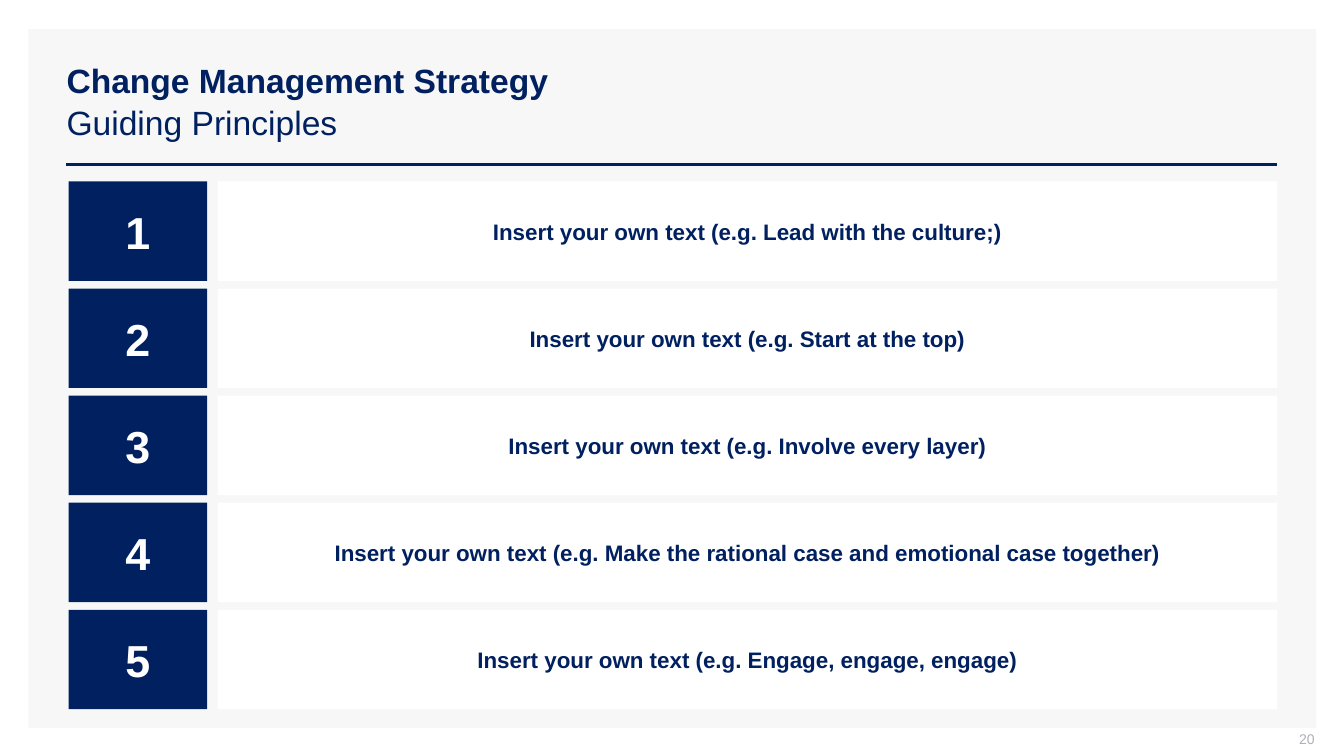
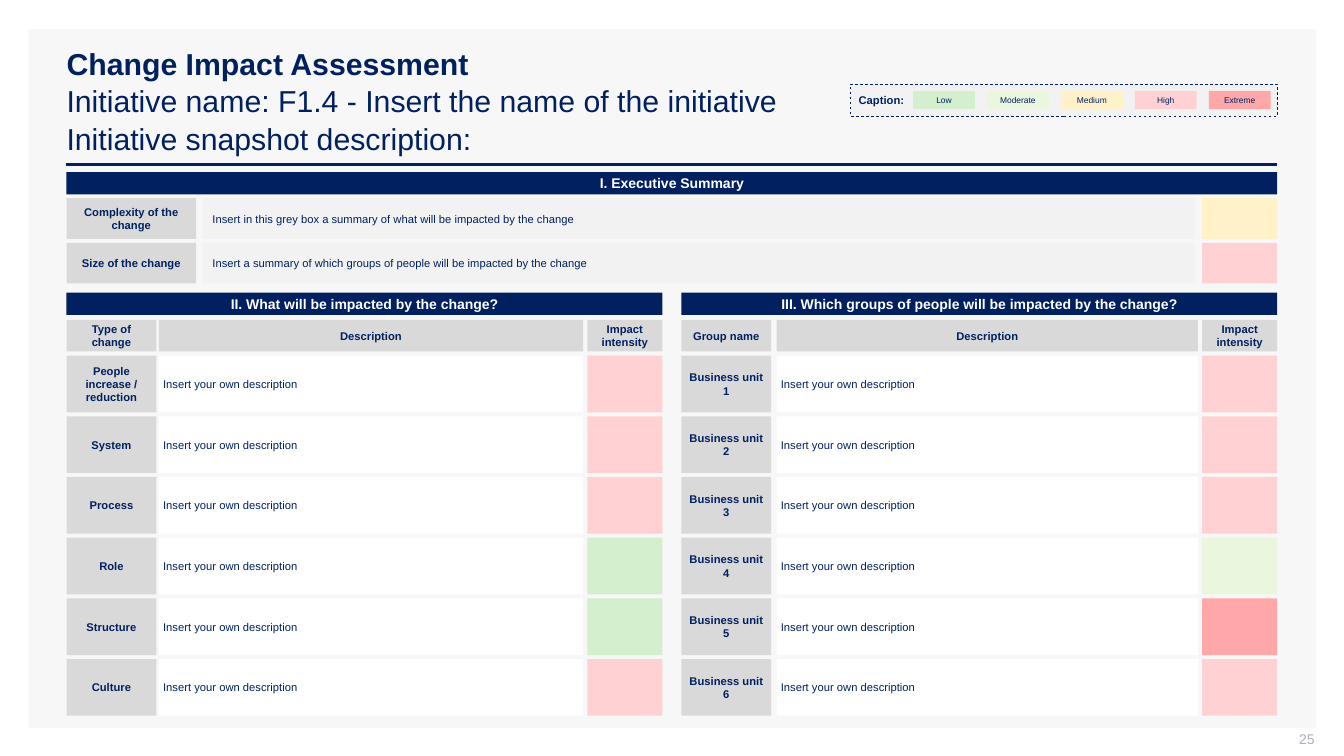
"""Build two change management slides: guiding principles and impact assessment."""
import lxml.etree
import pptx
import pptx.dml.color
import pptx.enum.dml
import pptx.enum.shapes
import pptx.enum.text
import pptx.oxml.ns
import pptx.util

Pt = pptx.util.Pt
ALIGN = pptx.enum.text.PP_ALIGN
MIDDLE = pptx.enum.text.MSO_ANCHOR.MIDDLE
SHAPE = pptx.enum.shapes.MSO_SHAPE
NAVY, WHITE, PANEL = "002060", "FFFFFF", "F7F7F7"
LABEL_GREY, BOX_GREY, NUMBER_GREY = "D9D9D9", "F2F2F2", "ADAFBB"
INTENSITIES = {"Low": "D3EFCE", "Moderate": "EBF6DE", "Medium": "FFF2C9",
               "High": "FFD1D2", "Extreme": "FFA7A9"}
LEFT, WIDTH = 47.5, 864.8
RIGHT = LEFT + WIDTH


def color(value):
    return pptx.dml.color.RGBColor.from_string(value)


def add_box(slide, left, top, width, height, fill, text="", size=8, ink=NAVY,
            bold=True, align=ALIGN.CENTER, margin=3, kind=SHAPE.RECTANGLE):
    shape = slide.shapes.add_shape(kind, Pt(left), Pt(top), Pt(width), Pt(height))
    shape.shadow.inherit = False
    shape.fill.solid()
    shape.fill.fore_color.rgb = color(fill)
    shape.line.fill.background()
    if text:
        frame = shape.text_frame
        frame.text = text
        frame.word_wrap = True
        frame.vertical_anchor = MIDDLE
        frame.margin_left = frame.margin_right = Pt(margin)
        frame.margin_top = frame.margin_bottom = 0
        paragraph = frame.paragraphs[0]
        paragraph.alignment = align
        for run in paragraph.runs:
            run.font.name = "Arial"
            run.font.size = Pt(size)
            run.font.bold = bold
            run.font.color.rgb = color(ink)
    return shape


presentation = pptx.Presentation()
presentation.slide_width = Pt(960)
presentation.slide_height = Pt(540)
layout = presentation.slide_layouts[5]

pages = [
    ("Change Management Strategy\vGuiding Principles", 24, "20"),
    ("Change Impact Assessment\vInitiative name: F1.4 - Insert the name of the initiative"
     "\vInitiative snapshot description:", 21.6, "25"),
]
slides = []
for heading, size, number in pages:
    slide = presentation.slides.add_slide(layout)
    slides.append(slide)
    title = slide.shapes.title
    title.left, title.top, title.width, title.height = Pt(40.3), Pt(28.8), Pt(872), Pt(85.7)
    frame = title.text_frame
    frame.text = heading
    frame.word_wrap = True
    frame.vertical_anchor = MIDDLE
    paragraph = frame.paragraphs[0]
    paragraph.alignment = ALIGN.LEFT
    paragraph.line_spacing = 1.03
    for index, run in enumerate(paragraph.runs):
        run.font.name = "Arial"
        run.font.size = Pt(size)
        run.font.bold = index == 0
        run.font.color.rgb = color(NAVY)

    number_box = slide.shapes.add_textbox(Pt(723), Pt(522), Pt(216), Pt(15))
    frame = number_box.text_frame
    frame.text = number
    frame.word_wrap = True
    frame.vertical_anchor = MIDDLE
    frame.margin_top = frame.margin_right = 0
    paragraph = frame.paragraphs[0]
    paragraph.alignment = ALIGN.RIGHT
    font = paragraph.runs[0].font
    font.name, font.size = "Arial", Pt(10)
    font.color.rgb = color(NUMBER_GREY)

principles_slide, impact_slide = slides

panel = add_box(principles_slide, 20.2, 20.9, 920, 499, PANEL)
rule = principles_slide.shapes.add_connector(
    pptx.enum.shapes.MSO_CONNECTOR.STRAIGHT, Pt(LEFT), Pt(117.4), Pt(RIGHT), Pt(117.4))
rule.line.color.rgb = color(NAVY)
rule.line.width = Pt(2)
lxml.etree.SubElement(rule.element.spPr, pptx.oxml.ns.qn("a:effectLst"))
layout_tree = layout.shapes.element
for position, backdrop in enumerate((panel, rule), start=2):
    layout_tree.insert(position, backdrop.element)

principles = ["Lead with the culture;", "Start at the top", "Involve every layer",
              "Make the rational case and emotional case together", "Engage, engage, engage"]
for index, principle in enumerate(principles):
    top = 129.6 + index * 76.5
    add_box(principles_slide, 49, top, 99, 71, NAVY, str(index + 1), size=32, ink=WHITE)
    add_box(principles_slide, 155.5, top, RIGHT - 155.5, 71, WHITE,
            f"Insert your own text (e.g. {principle})", size=16)

add_box(impact_slide, LEFT, 123, WIDTH, 16, NAVY, "I. Executive Summary", size=10, ink=WHITE)
summaries = [
    ("Complexity of the change",
     "Insert in this grey box a summary of what will be impacted by the change", "Medium"),
    ("Size of the change",
     "Insert a summary of which groups of people will be impacted by the change", "High"),
]
for index, (label, summary, intensity) in enumerate(summaries):
    top = 141.6 + index * 31.9
    add_box(impact_slide, LEFT, top, 92.6, 29, LABEL_GREY, label, margin=7.2)
    add_box(impact_slide, 144.7, top, 709, 29, BOX_GREY, summary,
            bold=False, align=ALIGN.LEFT, margin=7.2)
    add_box(impact_slide, RIGHT - 53.6, top, 53.6, 29, INTENSITIES[intensity])

sections = [
    (LEFT, 303, "II. What will be impacted by the change?", "Type of change",
     [("People\vincrease / reduction", "High"), ("System", "High"), ("Process", "High"),
      ("Role", "Low"), ("Structure", "Low"), ("Culture", "High")]),
    (486.7, 301, "III. Which groups of people will be impacted by the change?", "Group name",
     [(f"Business unit {unit}", intensity) for unit, intensity in
      enumerate(["High", "High", "High", "Moderate", "Extreme", "High"], start=1)]),
]
section_width, label_width, intensity_width = 425.6, 64.2, 53.6
for left, description_width, heading, label_heading, rows in sections:
    intensity_left = left + section_width - intensity_width
    description_left = intensity_left - 3 - description_width
    add_box(impact_slide, left, 209, section_width, 16, NAVY, heading, size=10, ink=WHITE)
    add_box(impact_slide, left, 228.5, label_width, 22.5, LABEL_GREY, label_heading, margin=7.2)
    add_box(impact_slide, description_left, 228.5, description_width, 22.5, LABEL_GREY,
            "Description")
    add_box(impact_slide, intensity_left, 228.5, intensity_width, 22.5, LABEL_GREY,
            "Impact intensity")
    for index, (label, intensity) in enumerate(rows):
        top = 254 + index * 43.35
        add_box(impact_slide, left, top, label_width, 40.5, LABEL_GREY, label)
        add_box(impact_slide, description_left, top, description_width, 40.5, WHITE,
                "Insert your own description", bold=False, align=ALIGN.LEFT)
        add_box(impact_slide, intensity_left, top, intensity_width, 40.5,
                INTENSITIES[intensity])

caption = add_box(impact_slide, 607.5, 60, RIGHT - 607.5, 23, BOX_GREY, "Caption:",
                  align=ALIGN.LEFT, margin=5.8)
caption.line.color.rgb = color(NAVY)
caption.line.width = Pt(0.5)
caption.line.dash_style = pptx.enum.dml.MSO_LINE.DASH
for index, (name, fill) in enumerate(INTENSITIES.items()):
    chip = add_box(impact_slide, 652.2 + index * 52.8, 65, 44.2, 13, fill, name,
                   size=6, bold=False, kind=SHAPE.ROUNDED_RECTANGLE)
    chip.adjustments[0] = 0.04

presentation.save("out.pptx")
